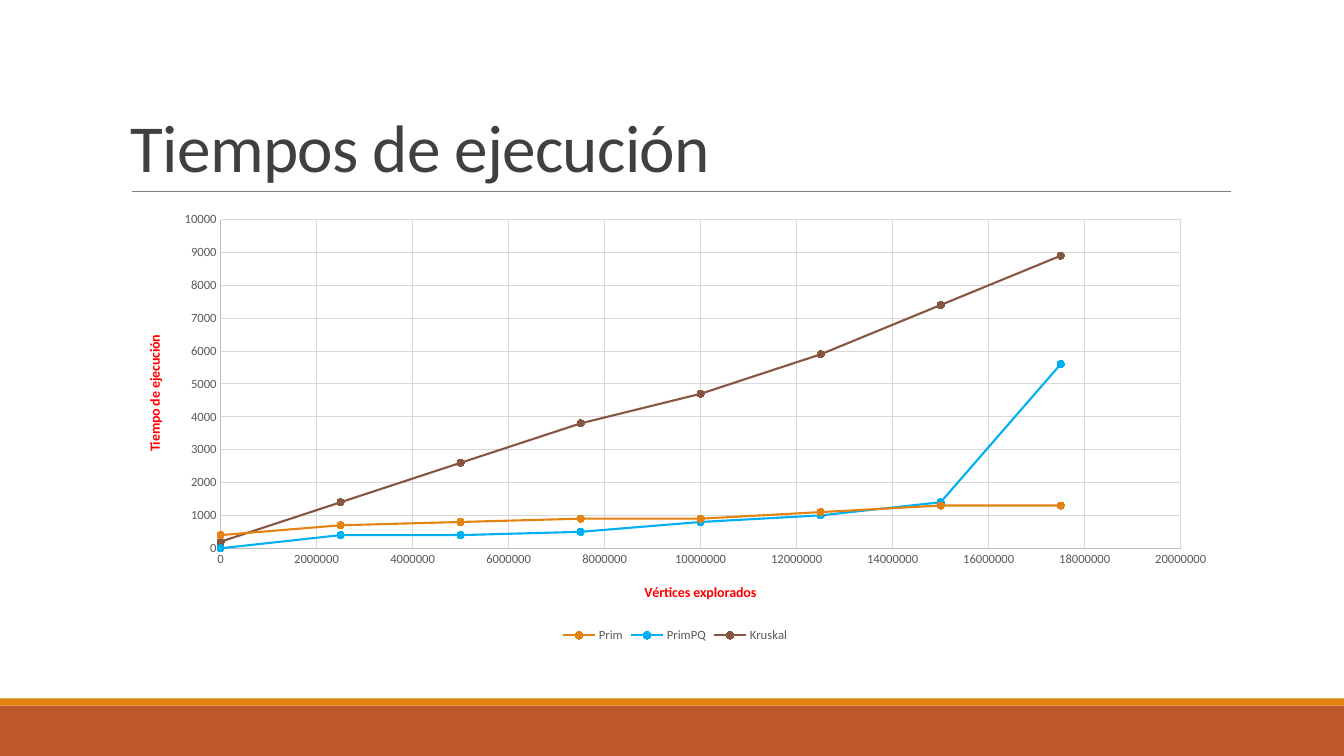
import dataclasses

import pptx
import pptx.chart.data
import pptx.dml.color
import pptx.enum.chart
import pptx.enum.shapes
import pptx.enum.text
import pptx.oxml
import pptx.oxml.ns
import pptx.util

SCALE = 9525  # EMU in one px
NODES = range(0, 17500001, 2500000)
TIMES = {
    "Prim": [400, 700, 800, 900, 900, 1100, 1300, 1300],
    "PrimPQ": [0, 400, 400, 500, 800, 1000, 1400, 5600],
    "Kruskal": [200, 1400, 2600, 3800, 4700, 5900, 7400, 8900],
}


@dataclasses.dataclass(frozen=True)
class Theme:
    font: str = "Calibri"
    rust: str = "BD582C"
    amber: str = "E48312"
    blue: str = "00B0F0"
    brown: str = "865640"
    ink: str = "404040"
    text: str = "595959"
    rule: str = "808080"
    axis: str = "BFBFBF"
    grid: str = "D9D9D9"
    alert: str = "FF0000"
    head: int = 48
    label: int = 10
    tick: int = 9


THEME = Theme()


def px(num):
    return pptx.util.Emu(num * SCALE)


def color(code):
    return pptx.dml.color.RGBColor.from_string(code)


def style(font, size, code, bold=False):
    font.name = THEME.font
    font.size = pptx.util.Pt(size)
    font.color.rgb = color(code)
    font.bold = bold


def stroke(line, code, width):
    line.color.rgb = color(code)
    line.width = pptx.util.Pt(width)


def add_bar(slide, top, high, code):
    bar = slide.shapes.add_shape(
        pptx.enum.shapes.MSO_SHAPE.RECTANGLE, 0, px(top), px(1280), px(high))
    bar.shadow.inherit = False
    bar.fill.solid()
    bar.fill.fore_color.rgb = color(code)
    bar.line.fill.background()


def add_rule(slide, left, right, top):
    rule = slide.shapes.add_connector(
        pptx.enum.shapes.MSO_CONNECTOR.STRAIGHT, px(left), px(top), px(right), px(top))
    stroke(rule.line, THEME.rule, 0.5)
    props = rule.element.find(pptx.oxml.ns.qn("p:spPr"))
    props.append(pptx.oxml.parse_xml(
        f'<a:effectLst {pptx.oxml.ns.nsdecls("a")}/>'))


def add_title(slide, text, left, top, wide, high):
    frame = slide.shapes.add_textbox(px(left), px(top), px(wide), px(high)).text_frame
    frame.word_wrap = True
    frame.vertical_anchor = pptx.enum.text.MSO_ANCHOR.BOTTOM
    frame.text = text
    para = frame.paragraphs[0]
    para.line_spacing = 0.85
    run = para.runs[0]
    style(run.font, THEME.head, THEME.ink)
    run._r.get_or_add_rPr().set("spc", "-50")


def set_layout(part, index, inner=False, **sides):
    """Place a chart part by fractions of the chart's size."""
    for old in part.findall(pptx.oxml.ns.qn("c:layout")):
        part.remove(old)
    body = '<c:layoutTarget val="inner"/>' if inner else ""
    body += "".join(f'<c:{side}Mode val="edge"/>' for side in "xy")
    body += "".join(f'<c:{side} val="{val}"/>' for side, val in sides.items())
    part.insert(index, pptx.oxml.parse_xml(
        f'<c:layout {pptx.oxml.ns.nsdecls("c")}>'
        f"<c:manualLayout>{body}</c:manualLayout></c:layout>"))


def set_axis(axis, title, top, step, turn, x, y):
    axis.minimum_scale = 0
    axis.maximum_scale = top
    axis.major_unit = step
    axis.major_tick_mark = pptx.enum.chart.XL_TICK_MARK.NONE
    axis.minor_tick_mark = pptx.enum.chart.XL_TICK_MARK.NONE
    axis.has_major_gridlines = True
    stroke(axis.major_gridlines.format.line, THEME.grid, 0.75)
    stroke(axis.format.line, THEME.axis, 0.75)
    style(axis.tick_labels.font, THEME.tick, THEME.text)
    axis.tick_labels.number_format = "General"
    axis.tick_labels.number_format_is_linked = False
    frame = axis.axis_title.text_frame
    frame.text = title
    style(frame.paragraphs[0].runs[0].font, THEME.label, THEME.alert, True)
    part = axis.axis_title.element
    part.find(".//" + pptx.oxml.ns.qn("a:bodyPr")).set("rot", str(turn * 60000))
    set_layout(part, 1, x=x, y=y)


def set_series(series, code, mark):
    series.smooth = False
    stroke(series.format.line, code, 1.5)
    series.marker.style = pptx.enum.chart.XL_MARKER_STYLE.CIRCLE
    series.marker.size = 5
    series.marker.format.fill.solid()
    series.marker.format.fill.fore_color.rgb = color(mark)
    stroke(series.marker.format.line, code, 0.75)


def add_plot(slide, left, top, wide, high):
    data = pptx.chart.data.XyChartData()
    for name, times in TIMES.items():
        series = data.add_series(name)
        for node, time in zip(NODES, times):
            series.add_data_point(node, time)
    chart = slide.shapes.add_chart(
        pptx.enum.chart.XL_CHART_TYPE.XY_SCATTER_LINES,
        px(left), px(top), px(wide), px(high), data).chart
    style(chart.font, THEME.label, "000000")
    chart.has_title = False
    plot = chart.plots[0]
    plot.vary_by_categories = False

    # Series
    codes = [THEME.amber, THEME.blue, THEME.brown]
    for series, code in zip(plot.series, codes):
        set_series(series, code, code)

    # Axes and plot area
    set_axis(chart.category_axis, "Vértices explorados", 20000000, 2000000, 0, 0.47, 0.85)
    set_axis(chart.value_axis, "Tiempo de ejecución", 10000, 1000, -90, 0.02, 0.29)
    area = chart.element.find(".//" + pptx.oxml.ns.qn("c:plotArea"))
    set_layout(area, 0, inner=True, x=0.09, y=0.036, w=0.866, h=0.742)

    # Legend
    chart.has_legend = True
    chart.legend.position = pptx.enum.chart.XL_LEGEND_POSITION.BOTTOM
    chart.legend.include_in_layout = False
    style(chart.legend.font, THEME.tick, THEME.text)


def main():
    deck = pptx.Presentation()
    deck.slide_width = px(1280)
    deck.slide_height = px(720)
    slide = deck.slides.add_slide(deck.slide_layouts[6])

    # Footer bands
    add_bar(slide, 672, 48, THEME.rust)
    add_bar(slide, 665, 7, THEME.amber)

    # Heading
    add_rule(slide, 126, 1172, 182)
    add_title(slide, "Tiempos de ejecución", 115, 30, 1056, 152)

    # Run times
    add_plot(slide, 115, 194, 1056, 422)
    deck.save("out.pptx")


if __name__ == "__main__":
    main()
